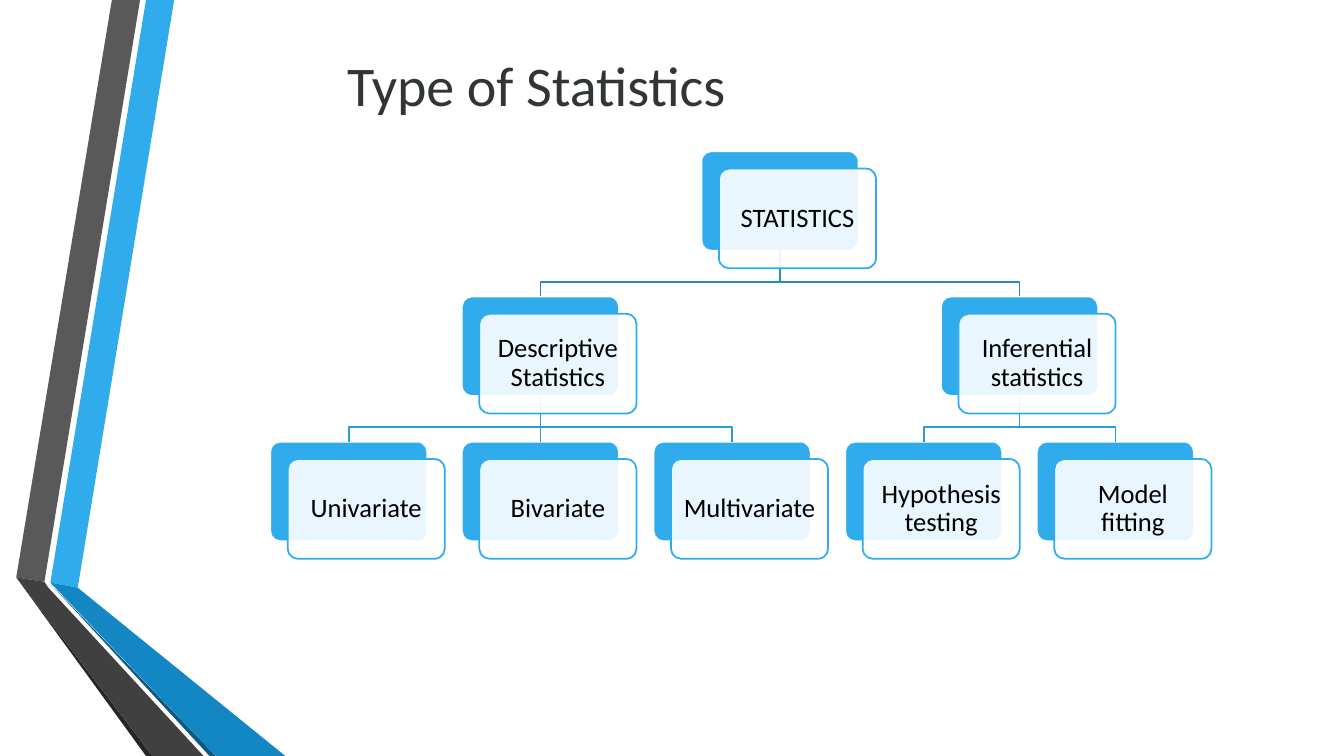
import pptx
import pptx.util
import pptx.dml.color
import pptx.enum.shapes
import pptx.enum.text
import pptx.oxml

Cm = pptx.util.Cm
Pt = pptx.util.Pt
RGBColor = pptx.dml.color.RGBColor
Shape = pptx.enum.shapes.MSO_SHAPE

BLUE = RGBColor(0x30, 0xAC, 0xEC)
DEEP = RGBColor(0x12, 0x87, 0xC3)
NAVY = RGBColor(0x0C, 0x5A, 0x82)
GREY = RGBColor(0x59, 0x59, 0x59)
DARK = RGBColor(0x40, 0x40, 0x40)
COAL = RGBColor(0x26, 0x26, 0x26)
INK = RGBColor(0x32, 0x35, 0x36)
BLACK = RGBColor(0, 0, 0)
WHITE = RGBColor(0xFF, 0xFF, 0xFF)
UPPER = RGBColor(0x26, 0x8A, 0xBD)
LOWER = RGBColor(0x2C, 0x9C, 0xD6)


def write(shape, text, size, color, inset=0.25, lines=1.0):
    frame = shape.text_frame
    frame.word_wrap = True
    frame.auto_size = pptx.enum.text.MSO_AUTO_SIZE.NONE
    frame.vertical_anchor = pptx.enum.text.MSO_ANCHOR.MIDDLE
    frame.margin_left = frame.margin_right = Cm(inset)
    frame.margin_top = frame.margin_bottom = Cm(inset)
    frame.text = text
    para = frame.paragraphs[0]
    para.alignment = pptx.enum.text.PP_ALIGN.CENTER
    para.line_spacing = lines
    para.font.name = "Calibri"
    para.font.size = Pt(size)
    para.font.color.rgb = color


def draw(points, close):
    spots = [(Cm(x), Cm(y)) for x, y in points]
    pen = slide.shapes.build_freeform(*spots[0])
    pen.add_line_segments(spots[1:], close=close)
    shape = pen.convert_to_shape()
    shape.shadow.inherit = False
    return shape


deck = pptx.Presentation()
deck.slide_width = Cm(33.87)
deck.slide_height = Cm(19.05)
slide = deck.slides.add_slide(deck.slide_layouts[5])

# Folded ribbons at the left edge
ribbons = [
    (BLUE, [(1.27, 14.68), (1.96, 14.81), (4.39, 0), (3.68, 0)]),
    (GREY, [(3.53, 0), (2.82, 0), (0.41, 14.55), (1.12, 14.66)]),
    (COAL, [(0.41, 14.55), (3.68, 19.05), (3.84, 19.05)]),
    (NAVY, [(1.27, 14.71), (5.28, 19.05), (5.44, 19.05)]),
    (DEEP, [(1.27, 14.68), (5.44, 19.05), (7.19, 19.05), (1.96, 14.81)]),
    (DARK, [(5.13, 19.05), (1.22, 14.81), (1.12, 14.66), (0.41, 14.55),
            (3.84, 19.05)]),
]
for color, points in ribbons:
    ribbon = draw(points, True)
    ribbon.fill.solid()
    ribbon.fill.fore_color.rgb = color
    ribbon.line.fill.background()

# Title
title = slide.shapes.title
title.left, title.top = Cm(0), Cm(1.09)
title.width, title.height = Cm(27.03), Cm(2.08)
write(title, "Type of Statistics", size=40, color=INK)

# Tree: text, column, level, index of the parent
nodes = [
    ("STATISTICS", 2.25, 0, None),
    ("Descriptive Statistics", 1, 1, 0),
    ("Inferential statistics", 3.5, 1, 0),
    ("Univariate", 0, 2, 1),
    ("Bivariate", 1, 2, 1),
    ("Multivariate", 2, 2, 1),
    ("Hypothesis testing", 3, 2, 2),
    ("Model fitting", 4, 2, 2),
]
WIDE, HIGH, SHIFT = 3.96, 2.51, 0.44
mids = [8.79 + 4.83 * col for _, col, _, _ in nodes]
tops = [3.81 + 3.66 * level for _, _, level, _ in nodes]

# Blue plates
plates = []
for mid, top in zip(mids, tops):
    plate = slide.shapes.add_shape(Shape.ROUNDED_RECTANGLE, Cm(mid - WIDE / 2),
                                   Cm(top), Cm(WIDE), Cm(HIGH))
    plate.adjustments[0] = 0.1
    plate.shadow.inherit = False
    plate.fill.solid()
    plate.fill.fore_color.rgb = BLUE
    plate.line.color.rgb = WHITE
    plate.line.width = Pt(1.25)
    plates.append(plate)

# Branches: straight below the parent, bent elsewhere
for i, (_, _, level, boss) in enumerate(nodes):
    if boss is None:
        continue
    start, end = tops[boss] + HIGH, tops[i]
    if mids[i] == mids[boss]:
        branch = slide.shapes.add_connector(
            pptx.enum.shapes.MSO_CONNECTOR.STRAIGHT,
            Cm(mids[i]), Cm(start), Cm(mids[i]), Cm(end))
        branch.begin_connect(plates[boss], 2)
        branch.end_connect(plates[i], 0)
    else:
        bend = end - 0.36
        branch = draw([(mids[boss], start), (mids[boss], bend),
                       (mids[i], bend), (mids[i], end)], False)
        branch.fill.background()
    branch.line.color.rgb = UPPER if level == 1 else LOWER
    branch.line.width = Pt(1.25)
    if branch.shape_type == pptx.enum.shapes.MSO_SHAPE_TYPE.LINE:
        props = branch._element.spPr
        props.append(props.makeelement(pptx.oxml.ns.qn("a:effectLst"), {}))

# White cards with the labels
for (text, _, _, _), mid, top in zip(nodes, mids, tops):
    card = slide.shapes.add_shape(
        Shape.ROUNDED_RECTANGLE, Cm(mid - WIDE / 2 + SHIFT), Cm(top + SHIFT),
        Cm(WIDE), Cm(HIGH))
    card.adjustments[0] = 0.1
    card.shadow.inherit = False
    card.fill.solid()
    card.fill.fore_color.rgb = WHITE
    tint = card._element.spPr.find(".//" + pptx.oxml.ns.qn("a:srgbClr"))
    tint.append(tint.makeelement(pptx.oxml.ns.qn("a:alpha"), {"val": "90000"}))
    card.line.color.rgb = BLUE
    card.line.width = Pt(1.25)
    write(card, text, size=19, color=BLACK, inset=0.19, lines=0.9)

deck.save("out.pptx")
